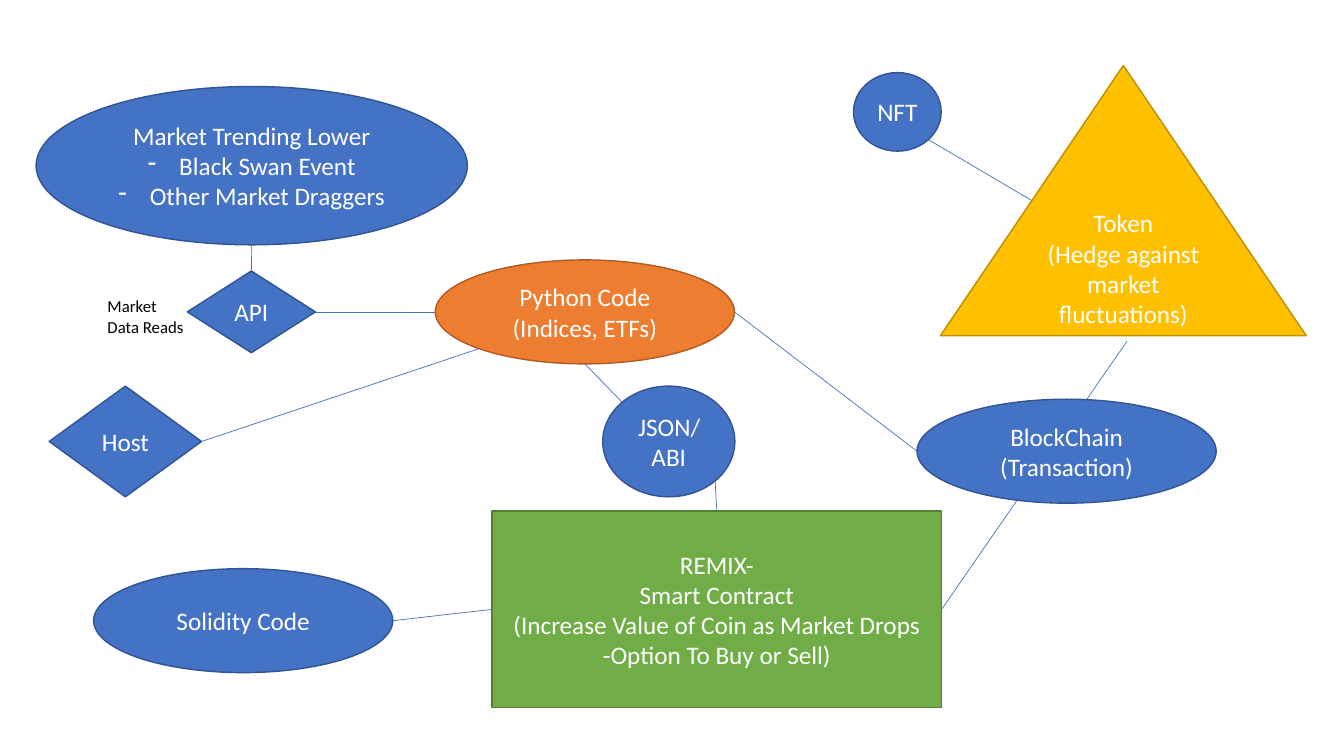
"""Build the flow diagram of a market-hedging token."""
from lxml import etree
from pptx import Presentation
from pptx.dml.color import RGBColor
from pptx.enum import shapes, text
from pptx.oxml.ns import qn
from pptx.util import Cm, Pt

FONT = "Calibri"
BLUE, GREEN, GOLD, ORANGE = "4472C4", "70AD47", "FFC000", "ED7D31"
OUTLINES = {BLUE: "325491", GREEN: "538035", GOLD: "BD8E00", ORANGE: "AF5C24"}

NODES = {
    "market": ("OVAL", BLUE, (0.91, 2.18, 10.87, 3.99),
               ["Market Trending Lower", "- Black Swan Event", "- Other Market Draggers"]),
    "contract": ("RECTANGLE", GREEN, (12.4, 12.88, 11.33, 4.95),
                 ["REMIX-", "Smart Contract", "(Increase Value of Coin as Market Drops",
                  "-Option To Buy or Sell)"]),
    "token": ("ISOSCELES_TRIANGLE", GOLD, (23.7, 1.65, 9.22, 6.81),
              ["Token", "(Hedge against market fluctuations)"]),
    "api": ("DIAMOND", BLUE, (4.72, 6.83, 3.23, 2.06), ["API"]),
    "python": ("OVAL", ORANGE, (10.97, 6.55, 7.54, 2.62), ["Python Code (Indices, ETFs)"]),
    "cloud": ("DIAMOND", BLUE, (1.24, 9.73, 3.84, 2.79), ["Host"]),
    "solidity": ("OVAL", BLUE, (2.36, 14.33, 7.54, 2.62), ["Solidity Code"]),
    "blockchain": ("OVAL", BLUE, (23.11, 10.06, 7.54, 2.62), ["BlockChain (Transaction)"]),
    "json": ("FLOWCHART_CONNECTOR", BLUE, (15.19, 9.73, 3.33, 2.79), ["JSON/ABI"]),
    "nft": ("FLOWCHART_CONNECTOR", BLUE, (21.51, 1.83, 2.21, 1.98), ["NFT"]),
}
READS_LABEL = ("Market Data Reads", (2.46, 7.34, 2.62, 1.27))

ANCHORS = {
    "top": (0.5, 0), "left": (0, 0.5), "bottom": (0.5, 1), "right": (1, 0.5),
    "upper left": (0.15, 0.15), "lower left": (0.15, 0.85), "lower right": (0.85, 0.85),
    "slope": (0.25, 0.5), "below": (0.51, 1.02),
}
LINKS = [
    ("solidity", "right", "contract", "left"),
    ("contract", "right", "token", "below"),
    ("market", "bottom", "api", "top"),
    ("api", "right", "python", "left"),
    ("cloud", "right", "python", "lower left"),
    ("python", "right", "blockchain", "left"),
    ("json", "lower right", "contract", "top"),
    ("python", "bottom", "json", "upper left"),
    ("nft", "lower right", "token", "slope"),
]
SITES = ["top", "left", "bottom", "right"]
FOUR_SITED = ("RECTANGLE", "DIAMOND")


def color(value):
    return RGBColor.from_string(value)


def anchor_point(name, side):
    left, top, width, height = NODES[name][2]
    across, down = ANCHORS[side]
    return Cm(left + across * width), Cm(top + down * height)


def add_link(slide, start, start_side, end, end_side):
    connector = slide.shapes.add_connector(
        shapes.MSO_CONNECTOR.STRAIGHT,
        *anchor_point(start, start_side), *anchor_point(end, end_side))
    connector.line.color.rgb = color(BLUE)
    connector.line.width = Pt(0.5)
    etree.SubElement(connector._element.spPr, qn("a:effectLst"))
    return connector


def add_dash(paragraph):
    properties = paragraph._p.get_or_add_pPr()
    properties.set("marL", str(Cm(0.79)))
    properties.set("indent", str(-Cm(0.79)))
    etree.SubElement(properties, qn("a:buFontTx"))
    etree.SubElement(properties, qn("a:buChar")).set("char", "-")


def style_text(paragraph, size, value):
    for run in paragraph.runs:
        run.font.name = FONT
        run.font.size = Pt(size)
        run.font.color.rgb = color(value)


def add_node(slide, kind, fill, box, lines):
    shape = slide.shapes.add_shape(
        getattr(shapes.MSO_SHAPE, kind), *[Cm(length) for length in box])
    shape.shadow.inherit = False
    shape.fill.solid()
    shape.fill.fore_color.rgb = color(fill)
    shape.line.color.rgb = color(OUTLINES[fill])
    shape.line.width = Pt(1)
    frame = shape.text_frame
    frame.word_wrap = True
    frame.vertical_anchor = text.MSO_ANCHOR.MIDDLE
    frame.text = "\n".join(line.removeprefix("- ") for line in lines)
    for line, paragraph in zip(lines, frame.paragraphs):
        if line.startswith("- "):
            add_dash(paragraph)
        paragraph.alignment = text.PP_ALIGN.CENTER
        style_text(paragraph, 18, "FFFFFF")
    return shape


def add_label(slide, wording, box):
    frame = slide.shapes.add_textbox(*[Cm(length) for length in box]).text_frame
    frame.word_wrap = True
    frame.auto_size = text.MSO_AUTO_SIZE.SHAPE_TO_FIT_TEXT
    frame.text = wording
    style_text(frame.paragraphs[0], 12, "000000")


def main():
    presentation = Presentation()
    presentation.slide_width, presentation.slide_height = Cm(33.87), Cm(19.05)
    slide = presentation.slides.add_slide(presentation.slide_layouts[6])
    connectors = [add_link(slide, *link) for link in LINKS]
    nodes = {name: add_node(slide, *node) for name, node in NODES.items()}
    for connector, (start, start_side, end, end_side) in zip(connectors, LINKS):
        for join, name, side in ((connector.begin_connect, start, start_side),
                                 (connector.end_connect, end, end_side)):
            if NODES[name][0] in FOUR_SITED:
                join(nodes[name], SITES.index(side))
    add_label(slide, *READS_LABEL)
    presentation.save("out.pptx")


if __name__ == "__main__":
    main()
